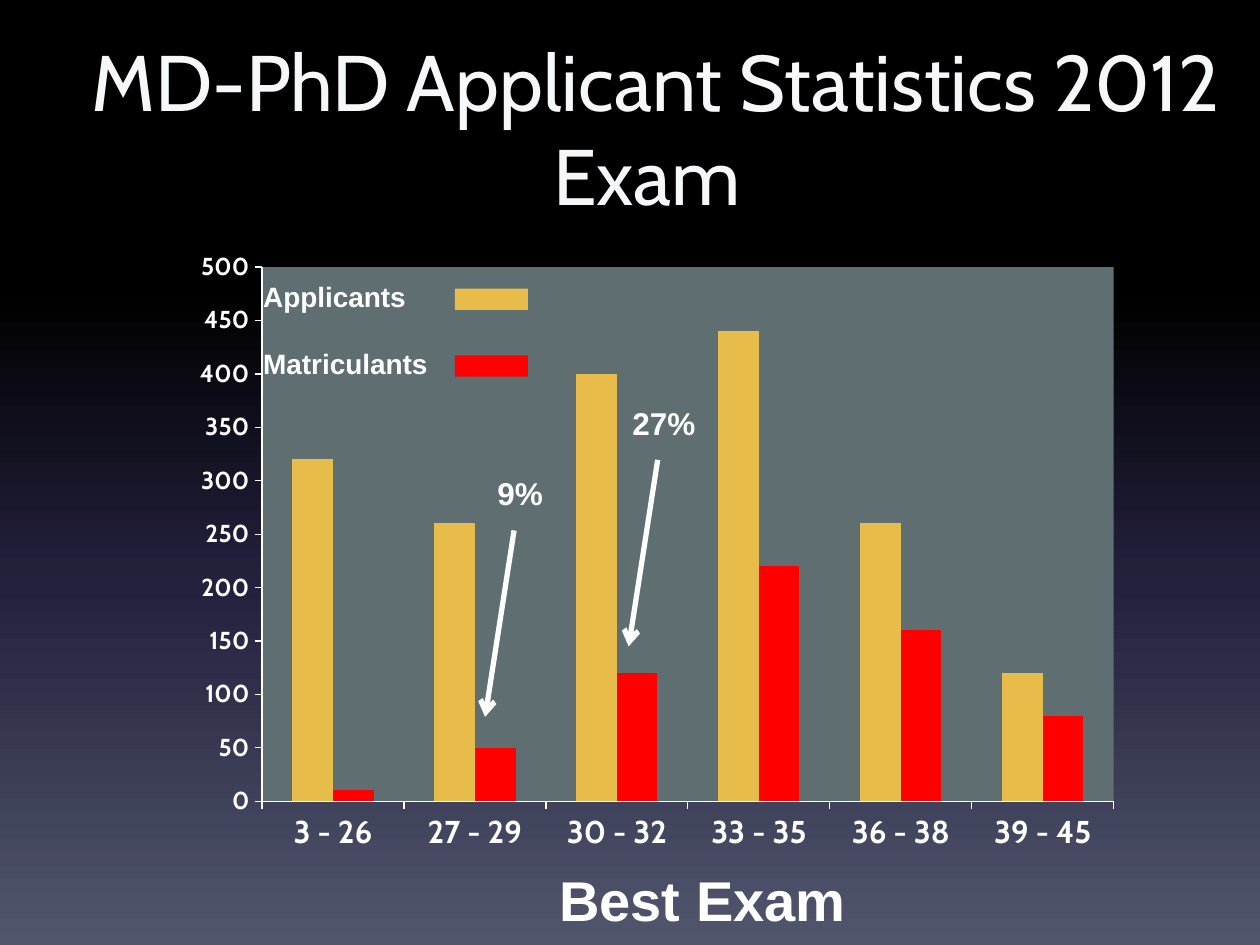
import dataclasses
import typing

import lxml.etree
import pptx
import pptx.chart.data
import pptx.dml.color
import pptx.enum.chart
import pptx.enum.shapes
import pptx.enum.text
import pptx.oxml
import pptx.oxml.ns
import pptx.util

Inches = pptx.util.Inches
Pt = pptx.util.Pt
qn = pptx.oxml.ns.qn
RGB = pptx.dml.color.RGBColor.from_string
Align = pptx.enum.text.PP_ALIGN
Tick = pptx.enum.chart.XL_TICK_MARK


@dataclasses.dataclass(frozen=True)
class Theme:
    white: str = "FFFFFF"
    title: str = "F6F7F9"
    gold: str = "E8BC4A"
    red: str = "FF0000"
    plot: str = "5F6E71"
    stops: tuple = ((0, "000000"), (31, "000000"), (62, "24213E"), (100, "51566D"))
    head: str = "Cabin"
    body: str = "Arial"
    big: int = 45
    label: int = 32
    mark: int = 18
    key: int = 16
    scale: int = 14
    base: int = 10


THEME = Theme()


class Box(typing.NamedTuple):
    left: float
    top: float
    width: float
    height: float

    def spans(self) -> list:
        return [Inches(side) for side in self]


class Label(typing.NamedTuple):
    box: Box
    lines: tuple
    size: int
    gap: float = 0
    wrap: bool = False
    font: str = THEME.body
    color: str = THEME.white
    bold: bool = True
    align: typing.Any = Align.LEFT


class Arrow(typing.NamedTuple):
    x: float
    y: float
    run: float = -0.23
    drop: float = 1.48


class Series(typing.NamedTuple):
    name: str
    values: tuple
    color: str


GROUPS = ("3 - 26", "27 - 29", "30 - 32", "33 - 35", "36 - 38", "39 - 45")
SERIES = (
    Series("Series 1", (320, 260, 400, 440, 260, 120), THEME.gold),
    Series("Series 2", (10, 50, 120, 220, 160, 80), THEME.red),
)
CHART = Box(1.43, 1.9, 7.56, 4.96)
PLOT = Box(2.08, 2.12, 6.76, 4.24)
LABELS = (
    Label(Box(0.62, 0.21, 9.17, 1.13), ("MD-PhD Applicant Statistics 2012 Exam ",),
          THEME.big, wrap=True, font=THEME.head, color=THEME.title,
          bold=False, align=Align.CENTER),
    Label(Box(1.99, 2.17, 1.92, 1), ("Applicants", "Matriculants"), THEME.key, gap=19),
    Label(Box(4.34, 6.82, 2.56, 0.64), ("Best Exam",), THEME.label),
    Label(Box(3.85, 3.71, 1, 1), ("9%",), THEME.mark),
    Label(Box(4.92, 3.16, 1, 1), ("27%",), THEME.mark),
)
ARROWS = (Arrow(4.08, 4.21), Arrow(5.22, 3.65))


def format_all(item: typing.Any, values: dict) -> None:
    for name, value in values.items():
        setattr(item, name, value)


def style_font(font: typing.Any, size: int, bold: bool, color: str = THEME.white,
               face: str = THEME.head) -> None:
    format_all(font, {"name": face, "size": Pt(size), "bold": bold})
    font.color.rgb = RGB(color)


def paint(fill: typing.Any, color: str) -> None:
    fill.solid()
    fill.fore_color.rgb = RGB(color)


def paint_back(slide: typing.Any) -> None:
    fill = slide.background.fill
    fill.gradient()
    fill.gradient_angle = 270
    stops = slide.background._cSld.find(".//" + qn("a:gsLst"))
    for stop in list(stops):
        stops.remove(stop)
    for place, color in THEME.stops:
        stop = lxml.etree.SubElement(stops, qn("a:gs"), pos=str(place * 1000))
        lxml.etree.SubElement(stop, qn("a:srgbClr"), val=color)


def add_label(slide: typing.Any, label: Label) -> None:
    frame = slide.shapes.add_textbox(*label.box.spans()).text_frame
    frame.word_wrap = label.wrap
    for index, line in enumerate(label.lines):
        para = frame.add_paragraph() if index else frame.paragraphs[0]
        format_all(para, {"alignment": label.align,
                          "space_before": Pt(label.gap if index else 0)})
        run = para.add_run()
        run.text = line
        style_font(run.font, label.size, label.bold, label.color, label.font)


def add_swatch(slide: typing.Any, box: Box, color: str) -> None:
    shape = slide.shapes.add_shape(pptx.enum.shapes.MSO_SHAPE.RECTANGLE, *box.spans())
    shape.shadow.inherit = False
    paint(shape.fill, color)
    shape.line.fill.background()


def add_arrow(slide: typing.Any, arrow: Arrow) -> None:
    ends = (arrow.x, arrow.y, arrow.x + arrow.run, arrow.y + arrow.drop)
    line = slide.shapes.add_connector(
        pptx.enum.shapes.MSO_CONNECTOR.STRAIGHT, *map(Inches, ends))
    line.line.color.rgb = RGB(THEME.white)
    line.line.width = Pt(3)
    lxml.etree.SubElement(line.line._get_or_add_ln(), qn("a:tailEnd"), type="arrow")
    lxml.etree.SubElement(line._element.spPr, qn("a:effectLst"))


def place_plot(chart: typing.Any) -> None:
    area = chart._chartSpace.chart.plotArea
    for old in area.findall(qn("c:layout")):
        area.remove(old)
    layout = lxml.etree.Element(qn("c:layout"))
    area.insert(0, layout)
    manual = lxml.etree.SubElement(layout, qn("c:manualLayout"))
    parts = {
        "layoutTarget": "inner", "xMode": "edge", "yMode": "edge",
        "x": (PLOT.left - CHART.left) / CHART.width,
        "y": (PLOT.top - CHART.top) / CHART.height,
        "w": PLOT.width / CHART.width,
        "h": PLOT.height / CHART.height,
    }
    for name, value in parts.items():
        lxml.etree.SubElement(manual, qn("c:" + name), val=str(value))
    look = lxml.etree.SubElement(area, qn("c:spPr"))
    solid = lxml.etree.SubElement(look, qn("a:solidFill"))
    lxml.etree.SubElement(solid, qn("a:srgbClr"), val=THEME.plot)


def add_chart(slide: typing.Any) -> None:
    data = pptx.chart.data.CategoryChartData()
    data.categories = GROUPS
    for row in SERIES:
        data.add_series(row.name, row.values)
    kind = pptx.enum.chart.XL_CHART_TYPE.COLUMN_CLUSTERED
    chart = slide.shapes.add_chart(kind, *CHART.spans(), data).chart
    format_all(chart, {"has_legend": False, "has_title": False})
    style_font(chart.font, THEME.base, False)
    plot = chart.plots[0]
    format_all(plot, {"gap_width": 150, "overlap": 0, "vary_by_categories": False})
    for bars, row in zip(plot.series, SERIES):
        paint(bars.format.fill, row.color)
        bars.invert_if_negative = False
    format_all(chart.value_axis, {"minimum_scale": 0, "maximum_scale": 500,
                                  "major_unit": 50})
    for axis, size in ((chart.category_axis, THEME.mark), (chart.value_axis, THEME.scale)):
        format_all(axis, {"has_major_gridlines": False, "major_tick_mark": Tick.OUTSIDE,
                          "minor_tick_mark": Tick.NONE})
        style_font(axis.tick_labels.font, size, True)
        axis.format.line.color.rgb = RGB(THEME.white)
    place_plot(chart)


def main() -> None:
    deck = pptx.Presentation()
    format_all(deck, {"slide_width": Inches(10), "slide_height": Inches(7.5)})
    slide = deck.slides.add_slide(deck.slide_layouts[6])
    paint_back(slide)
    add_chart(slide)
    for label in LABELS:
        add_label(slide, label)
    for index, row in enumerate(SERIES):
        add_swatch(slide, Box(3.61, 2.29 + index * 0.53, 0.58, 0.17), row.color)
    for arrow in ARROWS:
        add_arrow(slide, arrow)
    deck.save("out.pptx")


if __name__ == "__main__":
    main()
